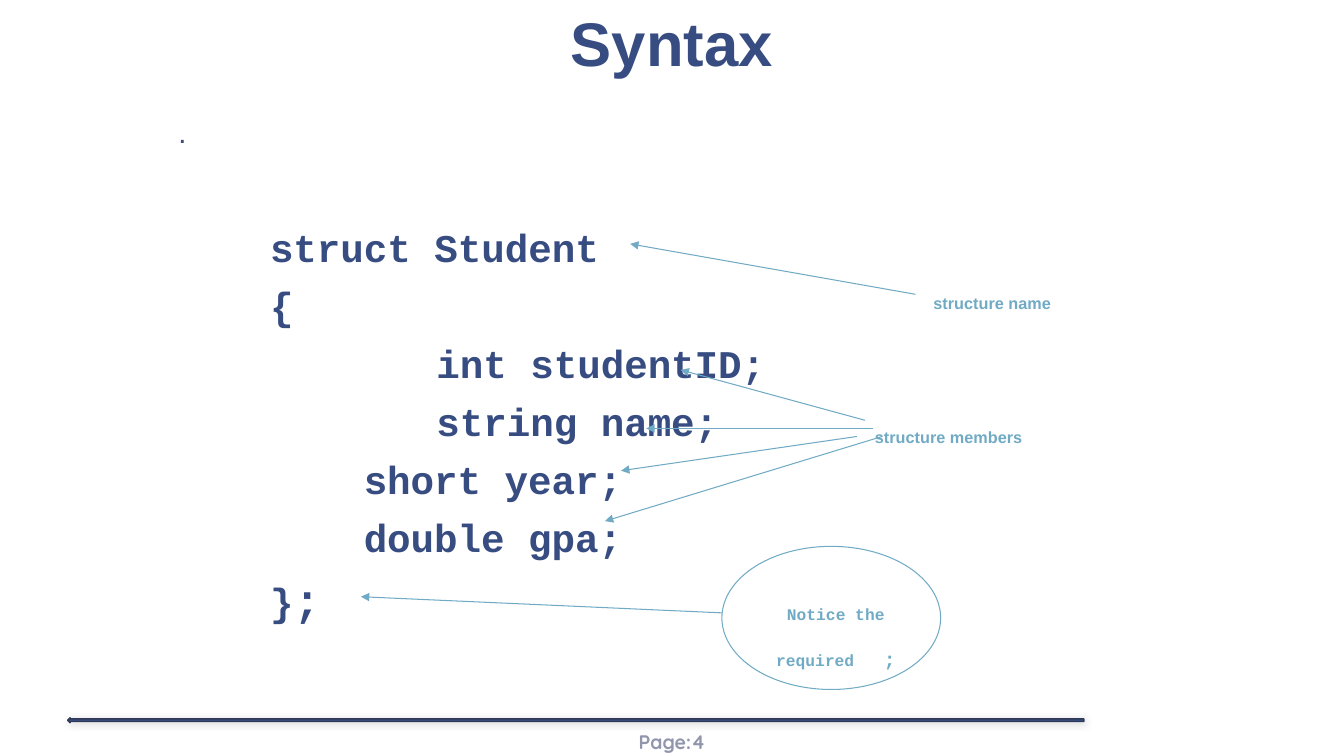
from lxml import etree
from pptx import Presentation
from pptx.dml.color import RGBColor
from pptx.enum.shapes import MSO_CONNECTOR as Connector, MSO_SHAPE as Shape
from pptx.enum.text import MSO_ANCHOR as Anchor, PP_ALIGN as Align
from pptx.oxml.ns import qn
from pptx.util import Inches, Pt

COLORS = {"navy": "374C81", "edge": "303A58", "sky": "70AAC4", "gray": "9196AC", "shadow": "000000"}
TITLE_BOX = (0, 0, 13.33, 0.86)
DOT_BOX = (1.67, 0.75, 10, 6.17)
CODE_BOX = (2.08, 2.17, 9.07, 4.75)
NAME_BOX = (9.16, 2.67, 2.23, 0.44)
MEMBERS_BOX = (8.58, 4, 2.83, 0.43)
NOTICE_BOX = (7.16, 5.42, 2.17, 1.42)
FOOTER_BOX = (0.67, 7.12, 10.08, 0.44)

# Code lines with their left indents; the fields are set in by tabs or by four letters
CODE = [
    ("struct Student", 0.5),
    ("{", 0.5),
    ("int studentID;", 2.15),
    ("string name;", 2.15),
    ("short year;", 1.43),
    ("double gpa;", 1.43),
    ("};", 0.5),
]


def color(name):
    return RGBColor.from_string(COLORS[name])


def style(span, font, size, tint, bold=True):
    span.font.name = font
    span.font.size = Pt(size)
    span.font.bold = bold
    span.font.color.rgb = color(tint)


def add_text(page, box, text, font, size, tint, align=Align.LEFT, anchor=Anchor.TOP,
             spacing=1.0, wrap=True, bold=True):
    frame = page.shapes.add_textbox(*map(Inches, box)).text_frame
    frame.word_wrap = wrap
    frame.vertical_anchor = anchor
    frame.text = text
    for para in frame.paragraphs:
        para.alignment = align
        para.line_spacing = spacing
        for span in para.runs:
            style(span, font, size, tint, bold)
    return frame


def set_margins(frame, side, edge):
    frame.margin_left = frame.margin_right = Inches(side)
    frame.margin_top = frame.margin_bottom = Inches(edge)


def add_arrow(page, box, start, end):
    """Draw an arrow between two offsets from the corner of the box."""
    left, top = box[:2]
    arrow = page.shapes.add_connector(
        Connector.STRAIGHT, Inches(left + start[0]), Inches(top + start[1]),
        Inches(left + end[0]), Inches(top + end[1]))
    arrow.line.color.rgb = color("sky")
    arrow.line.width = Pt(0.75)
    etree.SubElement(arrow.line._get_or_add_ln(), qn("a:tailEnd"), type="triangle")
    etree.SubElement(arrow._element.spPr, qn("a:effectLst"))


def add_title(page, box):
    frame = add_text(page, box, "Syntax", "Arial", 44, "navy", Align.CENTER, Anchor.BOTTOM, 0.85)
    set_margins(frame, 0.13, 0.07)


def add_dot(page, box):
    frame = add_text(page, box, ".", "Arial", 36, "navy", bold=False)
    frame.paragraphs[0].runs[0].font._element.set("baseline", "-25000")


def add_code(page, box):
    frame = add_text(page, box, "\n".join(text for text, _ in CODE), "Courier New", 28, "navy")
    for para, (_, indent) in zip(frame.paragraphs, CODE):
        para.space_before = Pt(7.8)
        para._p.get_or_add_pPr().set("marL", str(Inches(indent)))
    # The closing semicolon is larger than the brace
    last = frame.paragraphs[-1]
    last.runs[0].text = "}"
    semicolon = last.add_run()
    semicolon.text = ";"
    style(semicolon, "Courier New", 32, "navy")


def add_name_label(page, box):
    add_text(page, box, "structure name", "Arial", 11.6, "sky", spacing=2.0, wrap=False)
    add_arrow(page, box, (-0.08, 0.25), (-2.91, -0.25))


def add_members_label(page, box):
    add_text(page, box, "structure members", "Arial", 11.6, "sky", spacing=2.0)
    for start, end in [
        ((0, 0.17), (-1.83, -0.33)),
        ((0.08, 0.25), (-2.17, 0.25)),
        ((-0.08, 0.33), (-2.42, 0.67)),
        ((0.17, 0.33), (-2.58, 1.17)),
    ]:
        add_arrow(page, box, start, end)


def add_notice(page, box):
    left, top = box[:2]
    bubble = page.shapes.add_shape(Shape.OVAL, *map(Inches, box))
    bubble.shadow.inherit = False
    bubble.fill.background()
    bubble.line.color.rgb = color("sky")
    bubble.line.width = Pt(0.75)
    add_arrow(page, box, (0, 0.66), (-3.58, 0.5))
    frame = add_text(page, (left + 0.17, top + 0.33, 1.92, 1.17), "Notice the required   ",
                     "Courier New", 11.6, "sky", Align.CENTER, spacing=2.0)
    semicolon = frame.paragraphs[0].add_run()
    semicolon.text = ";"
    style(semicolon, "Courier New", 13.9, "sky")


def add_footer(page, box):
    left, top, width, _ = box
    frame = add_text(page, (left + 5.11, top + 0.04, 1.77, 0.4), "Page:4", "Quicksand", 14,
                     "gray", Align.CENTER, Anchor.MIDDLE)
    set_margins(frame, 0.04, 0.02)
    rule = page.shapes.add_shape(Shape.LEFT_ARROW, *map(Inches, (left, top, width, 0.05)))
    rule.shadow.inherit = False
    rule.fill.solid()
    rule.fill.fore_color.rgb = color("navy")
    rule.line.color.rgb = color("edge")
    rule.line.width = Pt(1)
    # Soft shadow under the rule
    effects = rule._element.spPr.find(qn("a:effectLst"))
    shadow = etree.SubElement(effects, qn("a:outerShdw"), blurRad=str(Pt(6)), dist=str(Pt(1)),
                              dir="2700000", rotWithShape="0")
    tint = etree.SubElement(shadow, qn("a:srgbClr"), val=COLORS["shadow"])
    etree.SubElement(tint, qn("a:alpha"), val="20000")


def main():
    deck = Presentation()
    deck.slide_width, deck.slide_height = Inches(13.33), Inches(7.5)
    page = deck.slides.add_slide(deck.slide_layouts[6])
    add_footer(page, FOOTER_BOX)
    add_title(page, TITLE_BOX)
    add_dot(page, DOT_BOX)
    add_code(page, CODE_BOX)
    add_name_label(page, NAME_BOX)
    add_members_label(page, MEMBERS_BOX)
    add_notice(page, NOTICE_BOX)
    deck.save("out.pptx")


if __name__ == "__main__":
    main()
